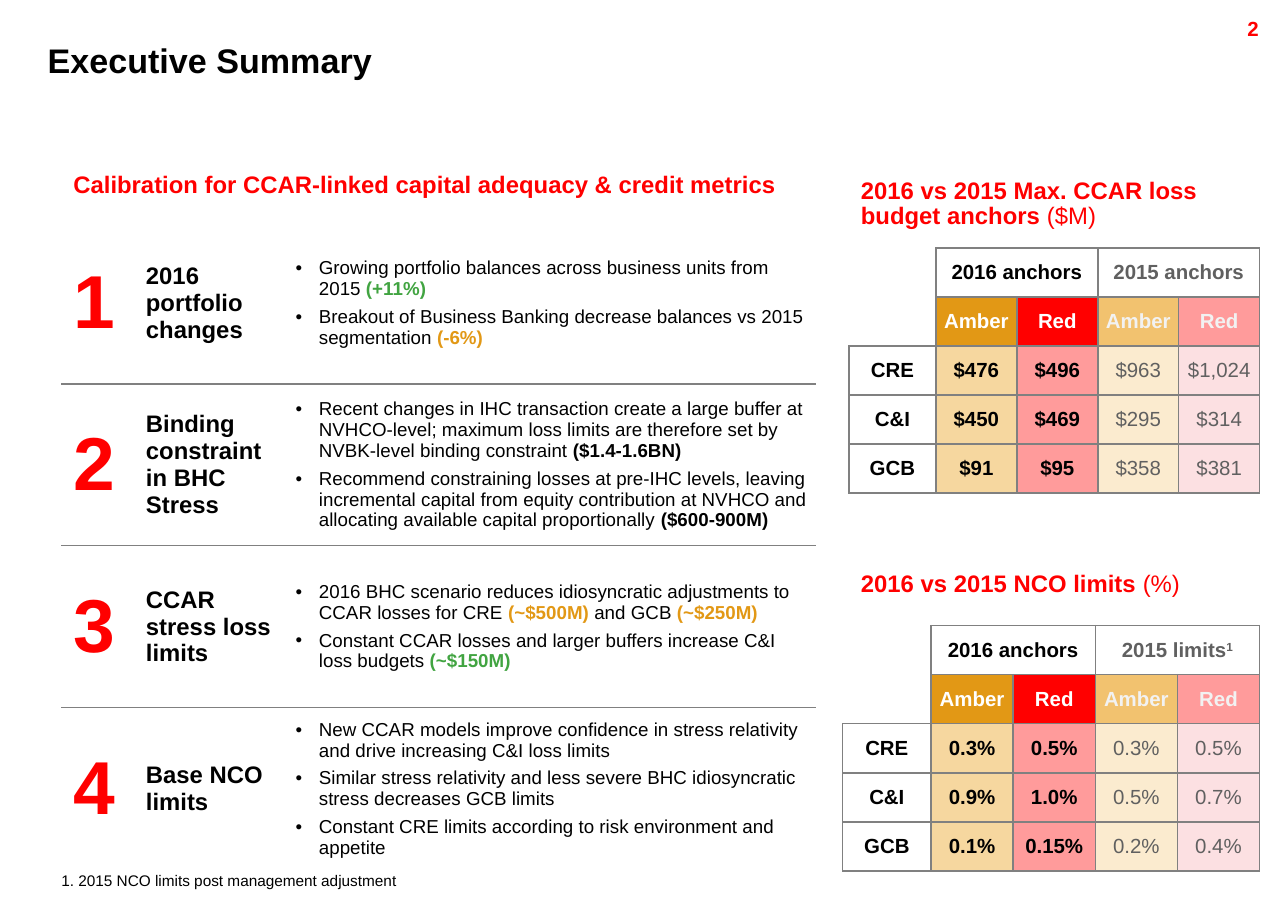
from pptx import Presentation
from pptx.dml.color import RGBColor
from pptx.enum.text import MSO_ANCHOR, PP_ALIGN
from pptx.oxml import parse_xml
from pptx.oxml.ns import nsdecls
from pptx.util import Inches, Pt

BLACK, RED, GREY, GREEN, AMBER = "000000", "FF0000", "606060", "41A441", "E29815"
LINE = "808080"
PLAIN_TABLE = "{2D5ABB26-0587-4C30-8999-92F81FD0307C}"
TIGHT = 0.86

prs = Presentation()
prs.slide_width, prs.slide_height = Inches(10.5), Inches(7.5)
slide = prs.slides.add_slide(prs.slide_layouts[6])


def write(paragraph, size, runs, align=PP_ALIGN.LEFT, spacing=1.0):
    """Fill a paragraph with (text, colour, bold) runs; "^" starts a superscript."""
    paragraph.alignment, paragraph.line_spacing = align, spacing
    for text, colour, bold in runs:
        run = paragraph.add_run()
        run.text = text.lstrip("^")
        run.font.name, run.font.size, run.font.bold = "Arial", Pt(size), bold
        run.font.color.rgb = RGBColor.from_string(colour)
        if text.startswith("^"):
            run.font._element.set("baseline", "30000")


def style_cell(cell, sides, fill=None, margins=(0.1, 0.05)):
    """Set margins, borders on the given sides (of "LRTB") and fill."""
    cell.vertical_anchor = MSO_ANCHOR.MIDDLE
    cell.margin_left = cell.margin_right = Inches(margins[0])
    cell.margin_top = cell.margin_bottom = Inches(margins[1])
    properties = cell._tc.get_or_add_tcPr()
    for side in "LRTB":
        width = Pt(1) if side in sides else 0
        paint = f'<a:solidFill><a:srgbClr val="{LINE}"/></a:solidFill>' if width else "<a:noFill/>"
        properties.append(parse_xml(
            f'<a:ln{side} {nsdecls("a")} w="{width}">{paint}</a:ln{side}>'))
    if fill:
        cell.fill.solid()
        cell.fill.fore_color.rgb = RGBColor.from_string(fill)
    else:
        cell.fill.background()


# Title, page number, headings and footnote
RIGHT, LEFT = PP_ALIGN.RIGHT, PP_ALIGN.LEFT
texts = [
    (9.36, 0.11, 1, 0.24, 12, RIGHT, [("2", RED, True)]),
    (0.29, 0.32, 10.21, 0.39, 20, LEFT, [("Executive Summary", BLACK, True)]),
    (0.5, 1.37, 5.97, 0.3, 14, LEFT,
     [("Calibration for CCAR-linked capital adequacy & credit metrics", RED, True)]),
    (6.92, 1.42, 3.36, 0.51, 14, LEFT,
     [("2016 vs 2015 Max. CCAR loss budget anchors ", RED, True), ("($M)", RED, False)]),
    (6.92, 4.62, 3.17, 0.3, 14, LEFT,
     [("2016 vs 2015 NCO limits ", RED, True), ("(%)", RED, False)]),
    (0.5, 7.1, 2.76, 0.15, 9, LEFT,
     [("1. 2015 NCO limits post management adjustment", BLACK, False)]),
]
for x, y, w, h, size, align, runs in texts:
    frame = slide.shapes.add_textbox(Inches(x), Inches(y), Inches(w), Inches(h)).text_frame
    frame.word_wrap = True
    footnote = size == 9
    if footnote:
        frame.word_wrap = False
        frame.margin_left = frame.margin_right = frame.margin_top = frame.margin_bottom = 0
    write(frame.paragraphs[0], size, runs, align, 1.0 if footnote else TIGHT)

# Numbered summary: label, then bullets made of runs
summary = [
    ("2016 portfolio changes", [
        [("Growing portfolio balances across business units from 2015 ", BLACK, False),
         ("(+11%)", GREEN, True)],
        [("Breakout of Business Banking decrease balances vs 2015 segmentation ", BLACK, False),
         ("(-6%)", AMBER, True)]]),
    ("Binding constraint in BHC Stress", [
        [("Recent changes in IHC transaction create a large buffer at NVHCO-level; maximum "
          "loss limits are therefore set by NVBK-level binding constraint ", BLACK, False),
         ("($1.4-1.6BN)", BLACK, True)],
        [("Recommend constraining losses at pre-IHC levels, leaving incremental capital from "
          "equity contribution at NVHCO and allocating available capital proportionally ",
          BLACK, False),
         ("($600-900M)", BLACK, True)]]),
    ("CCAR stress loss limits", [
        [("2016 BHC scenario reduces idiosyncratic adjustments to CCAR losses for CRE ",
          BLACK, False),
         ("(~$500M) ", AMBER, True), ("and GCB ", BLACK, False), ("(~$250M)", AMBER, True)],
        [("Constant CCAR losses and larger buffers increase C&I loss budgets ", BLACK, False),
         ("(~$150M)", GREEN, True)]]),
    ("Base NCO limits", [
        [("New CCAR models improve confidence in stress relativity and drive increasing "
          "C&I loss limits", BLACK, False)],
        [("Similar stress relativity and less severe BHC idiosyncratic stress decreases "
          "GCB limits", BLACK, False)],
        [("Constant CRE limits according to risk environment and appetite", BLACK, False)]]),
]
frame = slide.shapes.add_table(4, 3, Inches(0.5), Inches(1.81), Inches(6.15), Inches(5.28))
table = frame.table
table._tbl.tblPr.find("{*}tableStyleId").text = PLAIN_TABLE
table.first_row = table.horz_banding = False
for column, width in zip(table.columns, (0.59, 1.27, 4.29)):
    column.width = Inches(width)
for r, (label, bullets) in enumerate(summary):
    table.rows[r].height = Inches(1.32)
    sides = ("T" if r > 0 else "") + ("B" if r < 3 else "")
    number_cell, label_cell, bullet_cell = table.rows[r].cells
    style_cell(number_cell, sides)
    style_cell(label_cell, sides)
    style_cell(bullet_cell, sides, margins=(0.05, 0.05))
    write(number_cell.text_frame.paragraphs[0], 44, [(str(r + 1), RED, True)])
    write(label_cell.text_frame.paragraphs[0], 14, [(label, BLACK, True)])
    for i, runs in enumerate(bullets):
        body = bullet_cell.text_frame
        paragraph = body.add_paragraph() if i else body.paragraphs[0]
        write(paragraph, 11, runs)
        paragraph.space_before = Pt(4)
        properties = paragraph._p.get_or_add_pPr()
        properties.set("marL", str(Inches(0.19)))
        properties.set("indent", str(-Inches(0.19)))
        properties.append(parse_xml(f'<a:buFont {nsdecls("a")} typeface="Arial"/>'))
        properties.append(parse_xml(f'<a:buChar {nsdecls("a")} char="•"/>'))

# Loss budget and NCO limit tables
levels = ["Amber", "Red", "Amber", "Red"]
level_fills = [AMBER, RED, "F2C26F", "FF9B9B"]
value_fills = ["F6D79F", "FF9B9B", "FBEBCF", "FCE0E2"]
limit_tables = [
    (6.92, 2.02, 0.71, 0.66, (0.04, 0.03), [("2015 anchors", GREY, True)], [
        ["CRE", "$476", "$496", "$963", "$1,024"],
        ["C&I", "$450", "$469", "$295", "$314"],
        ["GCB", "$91", "$95", "$358", "$381"]]),
    (6.87, 5.1, 0.72, 0.67, (0, 0), [("2015 limits", GREY, True), ("^1", GREY, True)], [
        ["CRE", "0.3%", "0.5%", "0.3%", "0.5%"],
        ["C&I", "0.9%", "1.0%", "0.5%", "0.7%"],
        ["GCB", "0.1%", "0.15%", "0.2%", "0.4%"]]),
]
for x, y, name_width, value_width, margins, last_year, values in limit_tables:
    frame = slide.shapes.add_table(5, 5, Inches(x), Inches(y),
                                   Inches(name_width + 4 * value_width), Inches(2))
    table = frame.table
    table._tbl.tblPr.find("{*}tableStyleId").text = PLAIN_TABLE
    table.first_row = table.horz_banding = False
    for c, column in enumerate(table.columns):
        column.width = Inches(value_width if c else name_width)
    table.cell(0, 0).merge(table.cell(1, 0))
    table.cell(0, 1).merge(table.cell(0, 2))
    table.cell(0, 3).merge(table.cell(0, 4))
    for r in range(5):
        table.rows[r].height = Inches(0.4)
        for c in range(5):
            cell, fill, runs = table.cell(r, c), None, []
            is_value = r > 1 and c > 0
            if r == 0:
                runs = {1: [("2016 anchors", BLACK, True)], 3: last_year}.get(c, [])
            elif r == 1 and c:
                fill = level_fills[c - 1]
                runs = [(levels[c - 1], "FFFFFF" if c < 3 else "F2F2F2", True)]
            elif r > 1:
                fill = value_fills[c - 1] if c else None
                runs = [(values[r - 2][c], BLACK if c < 3 else GREY, c < 3)]
            style_cell(cell, "RB" if r < 2 and c == 0 else "LRTB", fill,
                       margins if is_value else (0, 0))
            if runs:
                write(cell.text_frame.paragraphs[0], 12, runs, PP_ALIGN.CENTER)

prs.save("out.pptx")
